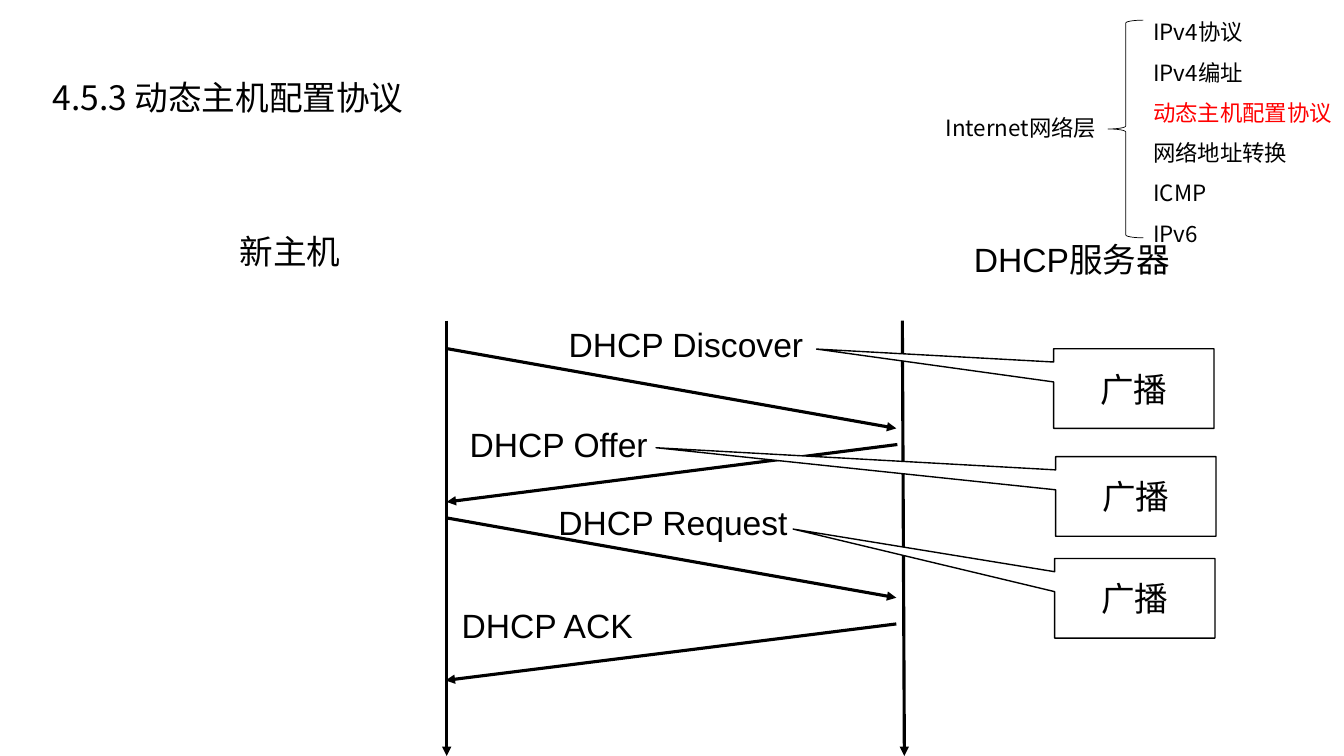
"""Build the DHCP message exchange slide."""
from lxml.etree import SubElement
from pptx import Presentation
from pptx.dml.color import RGBColor
from pptx.enum.shapes import MSO_CONNECTOR as Connector, MSO_SHAPE as Shape
from pptx.enum.text import MSO_ANCHOR as Anchor, MSO_AUTO_SIZE as AutoSize, PP_ALIGN as Align
from pptx.oxml.ns import qn
from pptx.util import Inches, Pt

CJK_FONT = "Noto Sans CJK SC"


def color(value):
    return RGBColor.from_string(value)


def write(frame, text, size=24, font="Arial", align=Align.LEFT, spacing=None, highlight=None):
    frame.word_wrap = True
    frame.text = text
    for paragraph in frame.paragraphs:
        paragraph.alignment = align
        paragraph.line_spacing = spacing
        for run in paragraph.runs:
            run.font.size = Pt(size)
            run.font.name = font
            run.font.color.rgb = color("FF0000" if run.text == highlight else "000000")
            SubElement(run.font._element, qn("a:ea"), typeface=CJK_FONT)


presentation = Presentation()
presentation.slide_width = Inches(13.33)
presentation.slide_height = Inches(7.5)
slide = presentation.slides.add_slide(presentation.slide_layouts[5])
shapes = slide.shapes

title = shapes.title
title.left, title.top, title.width, title.height = map(Inches, (0.4, 0.34, 6.75, 1.04))
frame = title.text_frame
write(frame, "4.5.3 动态主机配置协议", font=CJK_FONT, spacing=1.5)
frame.auto_size = AutoSize.NONE
frame.vertical_anchor = Anchor.MIDDLE
frame.margin_left = frame.margin_right = Inches(0.12)
frame.margin_top = frame.margin_bottom = Inches(0.06)

arrows = [
    (4.43, 3.18, 4.43, 7.5),
    (8.95, 3.18, 8.97, 7.5),
    (4.44, 3.46, 8.89, 4.25),
    (8.9, 4.41, 4.43, 4.98),
    (4.44, 5.14, 8.89, 5.93),
    (8.89, 6.19, 4.42, 6.75),
]
for ends in arrows:
    arrow = shapes.add_connector(Connector.STRAIGHT, *map(Inches, ends))
    arrow.line.color.rgb = color("000000")
    arrow.line.width = Pt(2.25)
    SubElement(arrow.line._get_or_add_ln(), qn("a:tailEnd"), type="triangle")
    SubElement(arrow._element.spPr, qn("a:effectLst"))

labels = [
    ("新主机", 2.28, 2.24, 1.36),
    ("DHCP服务器", 9.56, 2.32, 2.48),
    ("DHCP Discover", 5.54, 3.16, 2.89),
    ("DHCP Offer", 4.56, 4.16, 2.89),
    ("DHCP Request", 5.44, 4.93, 2.89),
    ("DHCP ACK", 4.48, 5.95, 2.89),
]
for text, left, top, width in labels:
    label = shapes.add_textbox(Inches(left), Inches(top), Inches(width), Inches(0.5))
    write(label.text_frame, text)

callouts = [
    (10.45, 3.46, -1.979, -0.496),
    (10.47, 4.53, -2.993, -0.612),
    (10.46, 5.54, -2.131, -0.869),
]
for left, top, tip_x, tip_y in callouts:
    callout = shapes.add_shape(
        Shape.RECTANGULAR_CALLOUT, Inches(left), Inches(top), Inches(1.59), Inches(0.79))
    callout.adjustments[0] = tip_x
    callout.adjustments[1] = tip_y
    callout.shadow.inherit = False
    callout.fill.solid()
    callout.fill.fore_color.rgb = color("FFFFFF")
    callout.line.color.rgb = color("000000")
    callout.line.width = Pt(1)
    callout.text_frame.vertical_anchor = Anchor.MIDDLE
    write(callout.text_frame, "广播", align=Align.CENTER)

brace = shapes.add_shape(Shape.LEFT_BRACE, Inches(10.99), Inches(0.2), Inches(0.35), Inches(2.16))
brace.shadow.inherit = False
brace.fill.background()
brace.line.color.rgb = color("000000")
brace.line.width = Pt(0.5)

topics = ["IPv4协议", "IPv4编址", "动态主机配置协议", "网络地址转换", "ICMP", "IPv6"]
topic_list = shapes.add_textbox(Inches(11.34), Inches(0), Inches(2), Inches(2.52))
write(topic_list.text_frame, "\n".join(topics), size=16, font=CJK_FONT, spacing=1.5,
      highlight="动态主机配置协议")

layer = shapes.add_textbox(Inches(9.28), Inches(1.08), Inches(1.73), Inches(0.37))
write(layer.text_frame, "Internet网络层", size=16, font=CJK_FONT)

presentation.save("out.pptx")
